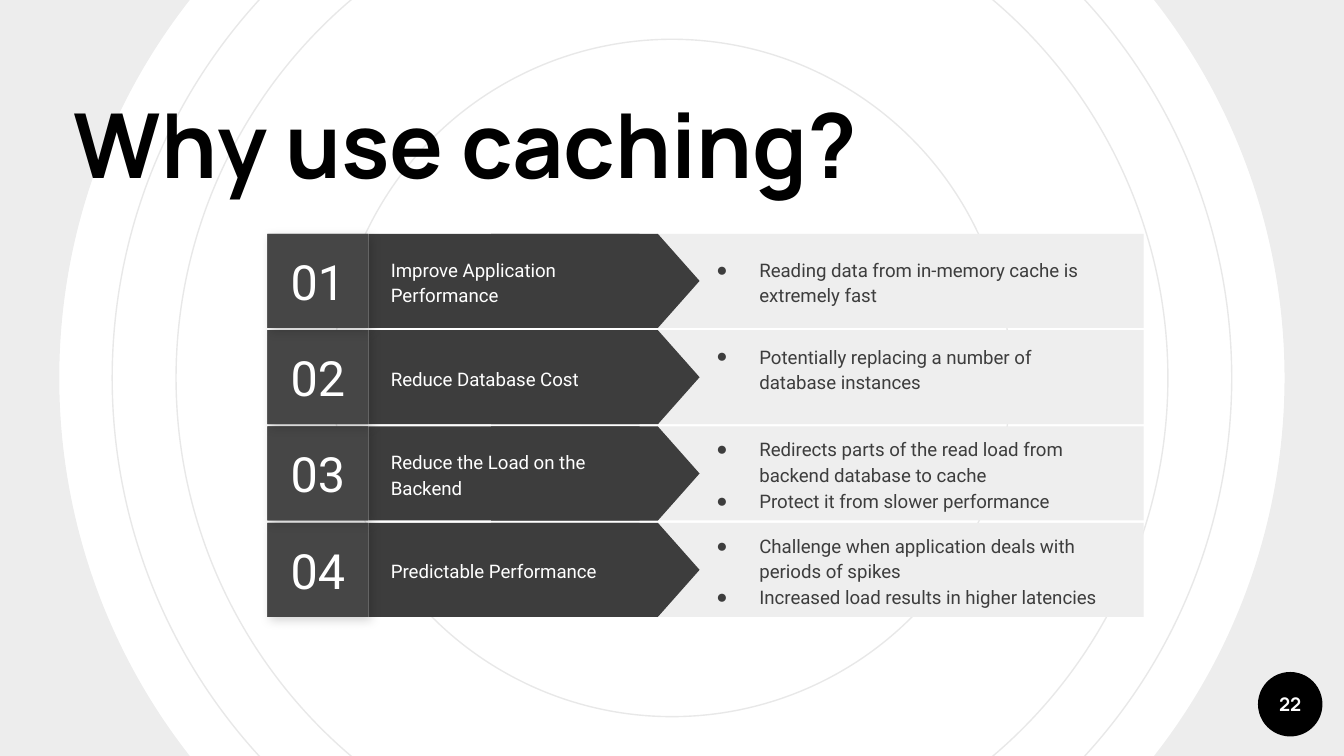
from dataclasses import dataclass
from lxml.etree import SubElement
from pptx import Presentation
from pptx.dml.color import RGBColor
from pptx.enum.shapes import MSO_SHAPE
from pptx.enum.text import MSO_ANCHOR, MSO_AUTO_SIZE, PP_ALIGN
from pptx.oxml.ns import qn
from pptx.util import Inches, Pt

BLACK = RGBColor(0x00, 0x00, 0x00)
WHITE = RGBColor(0xFF, 0xFF, 0xFF)
RING = RGBColor(0xE8, 0xE8, 0xE8)
PANEL = RGBColor(0xEE, 0xEE, 0xEE)
DARK = RGBColor(0x3D, 0x3D, 0x3D)
UNDER = RGBColor(0x41, 0x41, 0x41)
TILE = RGBColor(0x46, 0x46, 0x46)

WIDE = 10
TALL = WIDE * 9 / 16
TOP, LAST, HIGH = 1.74, 3.89, 0.7
MID_X, MID_Y = WIDE / 2, TALL / 2


@dataclass
class Reason:
    label: str
    points: list[str]
    lift: float = 0


REASONS = [
    Reason("Improve Application Performance",
           ["Reading data from in-memory cache is extremely fast"]),
    Reason("Reduce Database Cost",
           ["Potentially replacing a number of database instances"], 0.07),
    Reason("Reduce the Load on the Backend",
           ["Redirects parts of the read load from backend database to cache",
            "Protect it from slower performance"]),
    Reason("Predictable Performance",
           ["Challenge when application deals with periods of spikes",
            "Increased load results in higher latencies"]),
]


def place(shape, left: float, top: float, width: float, height: float) -> None:
    shape.left, shape.top = Inches(left), Inches(top)
    shape.width, shape.height = Inches(width), Inches(height)


def add_form(shapes, kind, left: float, top: float, width: float, height: float,
             fill: RGBColor | None = None):
    shape = shapes.add_shape(kind, Inches(left), Inches(top), Inches(width), Inches(height))
    shape.shadow.inherit = False
    shape.line.fill.background()
    if fill is None:
        shape.fill.background()
    else:
        shape.fill.solid()
        shape.fill.fore_color.rgb = fill
    return shape


def style(para, size: int, color: RGBColor, name: str = "Roboto", bold: bool = False) -> None:
    para.font.size = Pt(size)
    para.font.name = name
    para.font.bold = bold
    para.font.color.rgb = color


def set_frame(frame, anchor=MSO_ANCHOR.MIDDLE) -> None:
    frame.word_wrap = True
    frame.auto_size = MSO_AUTO_SIZE.NONE
    frame.vertical_anchor = anchor
    frame.margin_left = frame.margin_right = Inches(0.1)
    frame.margin_top = frame.margin_bottom = Inches(0.1)


def write(shape, text: str, size: int, color: RGBColor, align=PP_ALIGN.LEFT,
          name: str = "Roboto", bold: bool = False, anchor=MSO_ANCHOR.MIDDLE):
    set_frame(shape.text_frame, anchor)
    para = shape.text_frame.paragraphs[0]
    para.text = text
    para.alignment = align
    style(para, size, color, name, bold)
    return para


def add_bullet(para) -> None:
    props = para._p.get_or_add_pPr()
    props.set("marL", str(Inches(0.5)))
    props.set("indent", str(Inches(-0.32)))
    tint = SubElement(props, qn("a:buClr"))
    SubElement(tint, qn("a:srgbClr"), val=str(DARK))
    SubElement(props, qn("a:buFont"), typeface="Arial")
    SubElement(props, qn("a:buChar"), char="●")


def fill_list(holder, reason: Reason, top: float) -> None:
    place(holder, 5.05, top - reason.lift, 3.25, HIGH)
    frame = holder.text_frame
    set_frame(frame)
    frame.text = "\n".join(reason.points)
    for para in frame.paragraphs:
        add_bullet(para)
        para.alignment = PP_ALIGN.LEFT
        para.line_spacing = 1.15
        para.space_before = Pt(0)
        style(para, 10, DARK)


def cast_shadow(shape) -> None:
    effects = shape.element.spPr.find(qn("a:effectLst"))
    shadow = SubElement(effects, qn("a:outerShdw"), blurRad=str(Pt(5.6)),
                        dist=str(Pt(2.2)), dir=str(45 * 60000),
                        algn="bl", rotWithShape="0")
    color = SubElement(shadow, qn("a:srgbClr"), val=str(BLACK))
    SubElement(color, qn("a:alpha"), val="17000")


def add_row(slide, index: int, reason: Reason, top: float) -> None:
    shapes = slide.shapes.add_group_shape().shapes
    add_form(shapes, MSO_SHAPE.RECTANGLE, 4.33, top, 4.18, HIGH, PANEL)
    add_form(shapes, MSO_SHAPE.RECTANGLE, 2.74, top, 2.02, HIGH, DARK)
    long = 1.55
    arrow = add_form(shapes, MSO_SHAPE.FLOWCHART_OFFPAGE_CONNECTOR,
                     4.08, top + (HIGH - long) / 2, HIGH, long, DARK)
    arrow.rotation = 270
    label = shapes.add_textbox(Inches(2.81), Inches(top + 0.08), Inches(2.12), Inches(0.54))
    write(label, reason.label, 10, WHITE).line_spacing = 1.15
    cast_shadow(add_form(shapes, MSO_SHAPE.RECTANGLE, 1.99, top, 0.75, HIGH, UNDER))
    tile = add_form(shapes, MSO_SHAPE.RECTANGLE, 1.99, top, 0.75, HIGH, TILE)
    write(tile, f"{index + 1:02}", 26, WHITE, PP_ALIGN.CENTER)


def add_rings(shapes) -> None:
    for size in (8.33, 7.38, 5.04):
        ring = add_form(shapes, MSO_SHAPE.OVAL, MID_X - size / 2, MID_Y - size / 2, size, size)
        ring.line.color.rgb = RING
        ring.line.width = Pt(0.75)
    size = 11.54
    halo = add_form(shapes, MSO_SHAPE.DONUT, MID_X - size / 2, MID_Y - size / 2,
                    size, size, BLACK)
    halo.adjustments[0] = 0.105
    color = halo.element.spPr.find(qn("a:solidFill")).find(qn("a:srgbClr"))
    SubElement(color, qn("a:alpha"), val="7000")


def raise_up(shape) -> None:
    shape.element.getparent().append(shape.element)


def main() -> None:
    deck = Presentation()
    deck.slide_width, deck.slide_height = Inches(WIDE), Inches(TALL)
    slide = deck.slides.add_slide(deck.slide_layouts.get_by_name("Comparison"))
    title, *lists = slide.placeholders

    add_rings(slide.shapes)
    badge = add_form(slide.shapes, MSO_SHAPE.OVAL, 9.36, 5, 0.48, 0.48, BLACK)
    write(badge, "22", 10, WHITE, PP_ALIGN.CENTER, "Manrope", True)
    badge.text_frame.word_wrap = False

    place(title, 0.45, 0.64, 7.35, 0.92)
    write(title, "Why use caching?", 48, BLACK, name="Manrope", bold=True,
          anchor=MSO_ANCHOR.BOTTOM)
    raise_up(title)

    pitch = (LAST - TOP) / (len(REASONS) - 1)
    for index, reason in reversed(list(enumerate(REASONS))):
        top = TOP + index * pitch
        add_row(slide, index, reason, top)
        fill_list(lists[index], reason, top)
        raise_up(lists[index])

    deck.save("out.pptx")


if __name__ == "__main__":
    main()
